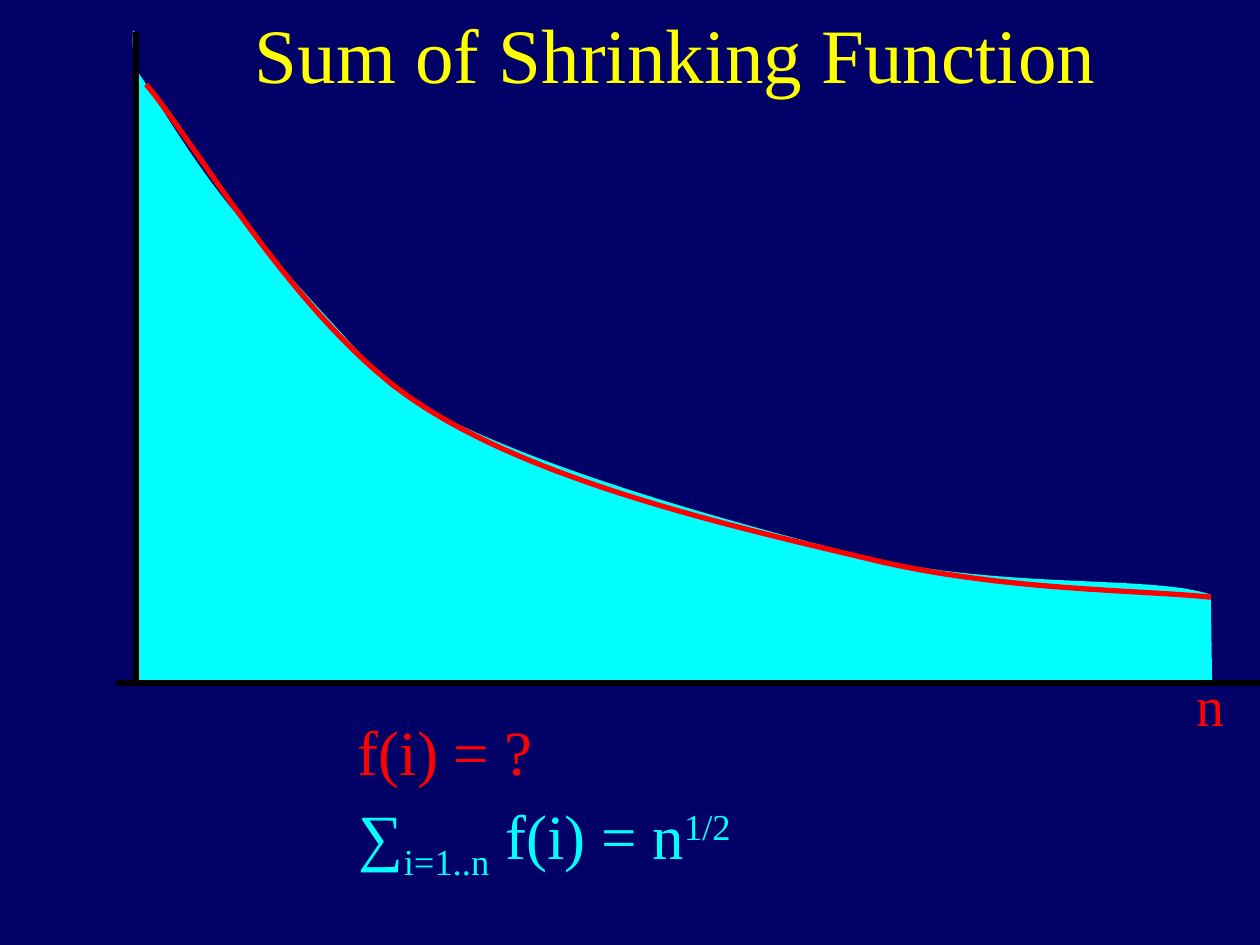
from lxml.etree import SubElement
from pptx import Presentation
from pptx.dml.color import RGBColor
from pptx.enum.shapes import MSO_CONNECTOR
from pptx.enum.text import MSO_AUTO_SIZE, PP_ALIGN
from pptx.oxml.ns import qn
from pptx.util import Inches, Pt

NAVY, CYAN, RED = "000066", "00FFFF", "FF0000"
YELLOW, BLACK = "FFFF00", "000000"

AREA = [
    [(3.1, 3.07)],
    [(3.99, 3.66), (5.76, 4.13), (6.84, 4.41)],
    [(7.93, 4.68), (9.15, 4.56), (9.61, 4.72)],
    [(9.62, 5.4)],
    [(1.08, 5.4)],
    [(1.08, 0.65)],
    [(1.09, -0.15), (0.99, 0.44), (1.12, 0.61)],
    [(1.24, 0.78), (1.52, 1.27), (1.86, 1.68)],
    [(2.19, 2.09), (2.84, 2.78), (3.1, 3.07)],
]
CURVE = [
    [(1.16, 0.67)],
    [(1.52, 1.09), (2.37, 2.58), (3.32, 3.2)],
    [(4.27, 3.83), (5.82, 4.18), (6.87, 4.43)],
    [(7.92, 4.69), (9.04, 4.68), (9.61, 4.74)],
]


def color(value):
    """Turn a hex string into a colour."""
    return RGBColor.from_string(value)


def add_curve(slide, steps, fill=None, line=None, width=3):
    """Draw an outline whose one-point steps are lines and three-point steps Béziers."""
    points = [(Inches(x), Inches(y)) for step in steps for x, y in step]
    builder = slide.shapes.build_freeform(*points[0])
    builder.add_line_segments(points[1:], close=fill is not None)
    sp = builder.convert_to_shape()
    sp.shadow.inherit = False
    segments = iter(list(sp._element.iter(qn("a:lnTo"))))
    for step in steps[1:]:
        group = [next(segments) for _ in step]
        if len(group) == 3:
            bezier = SubElement(group[0].getparent(), qn("a:cubicBezTo"))
            group[0].addprevious(bezier)
            for segment in group:
                bezier.append(segment[0])
                segment.getparent().remove(segment)
    if fill:
        sp.fill.solid()
        sp.fill.fore_color.rgb = color(fill)
    else:
        sp.fill.background()
    if line:
        sp.line.color.rgb = color(line)
        sp.line.width = Pt(width)
    else:
        sp.line.fill.background()


def add_axis(slide, start, end):
    """Draw a straight black axis."""
    ends = [Inches(v) for v in (*start, *end)]
    axis = slide.shapes.add_connector(MSO_CONNECTOR.STRAIGHT, *ends)
    axis.line.color.rgb = color(BLACK)
    axis.line.width = Pt(3)
    SubElement(axis._element.spPr, qn("a:effectLst"))


def add_text(slide, runs, box, size=36, fill=RED, align=PP_ALIGN.LEFT):
    """Add one line of text from (text, baseline percent) runs."""
    s = slide.shapes.add_textbox(*[Inches(v) for v in box])
    tf = s.text_frame
    tf.word_wrap = False
    tf.auto_size = MSO_AUTO_SIZE.SHAPE_TO_FIT_TEXT
    p = tf.paragraphs[0]
    p.alignment = align
    for text, baseline in runs:
        r = p.add_run()
        r.text = text
        r.font.name = "Times New Roman"
        r.font.size = Pt(size)
        r.font.color.rgb = color(fill)
        if baseline:
            r._r.get_or_add_rPr().set("baseline", str(baseline * 1000))


def main():
    """Build the slide and save it."""
    prs = Presentation()
    prs.slide_width, prs.slide_height = Inches(10), Inches(7.5)
    slide = prs.slides.add_slide(prs.slide_layouts[6])
    background = slide.background.fill
    background.solid()
    background.fore_color.rgb = color(NAVY)

    add_curve(slide, AREA, fill=CYAN)
    add_curve(slide, CURVE, line=RED)
    add_axis(slide, (1.08, 0.25), (1.08, 5.42))
    add_axis(slide, (0.92, 5.42), (10, 5.42))

    add_text(slide, [("f(i) = ?", 0)], (2.74, 5.61, 1.59, 0.7))
    total = [("∑", 0), ("i=1..n", -25), (" f(i) = n", 0), ("1/2", 30)]
    add_text(slide, total, (2.75, 6.27, 3.15, 0.79), fill=CYAN)
    add_text(slide, [("n", 0)], (9.4, 5.27, 0.42, 0.64), size=32)
    add_text(slide, [("Sum of Shrinking Function", 0)], (1.92, 0, 6.88, 0.84),
             size=44, fill=YELLOW, align=PP_ALIGN.RIGHT)
    prs.save("out.pptx")


if __name__ == "__main__":
    main()
